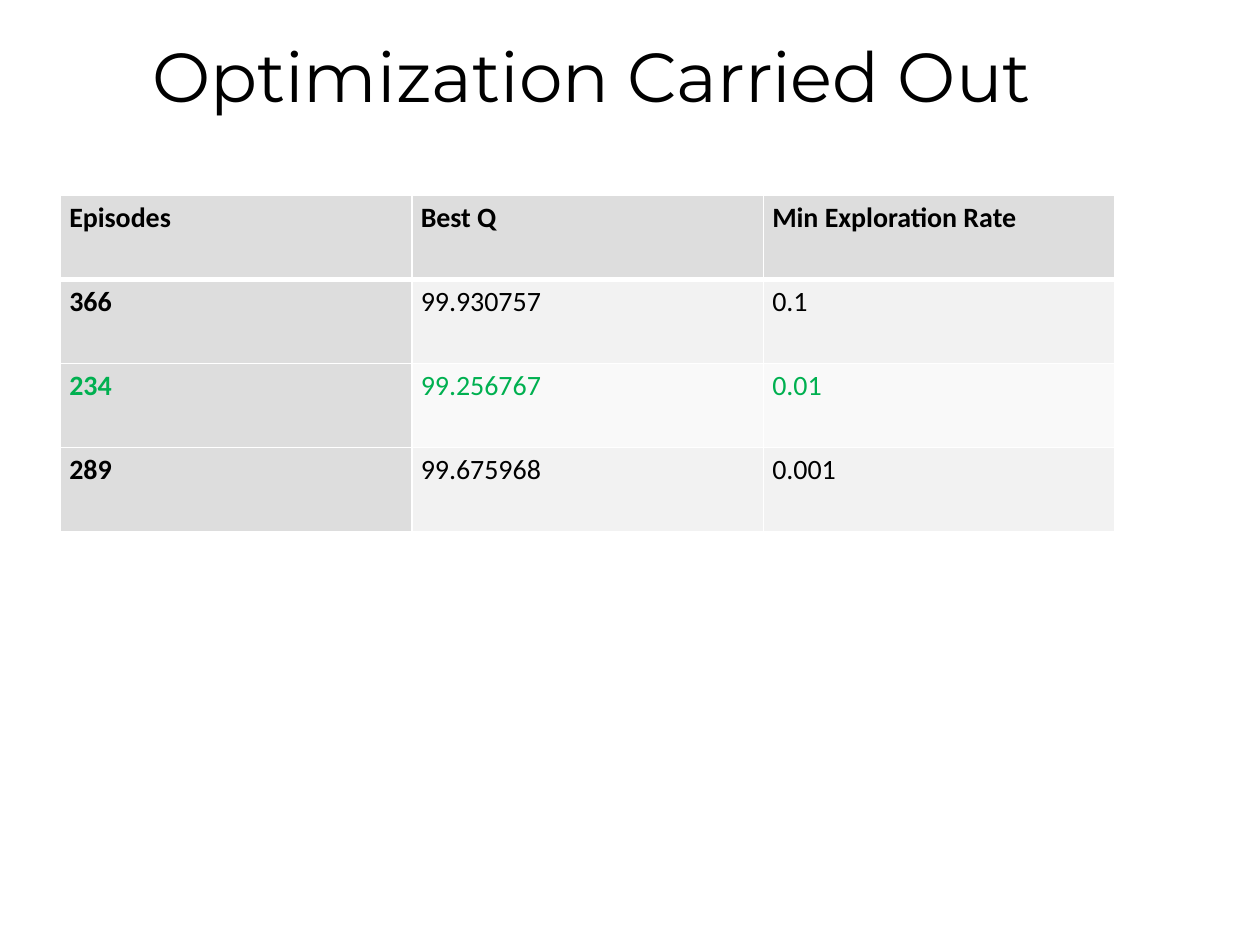
from lxml import etree
from pptx import Presentation
from pptx import util as u
from pptx.dml.color import RGBColor
from pptx.enum import text
from pptx.oxml.ns import qn

BLACK, WHITE, GREEN = "000000", "FFFFFF", "00B050"
HEADER_FILL, ODD_FILL, EVEN_FILL = "DDDDDD", "F2F2F2", "F9F9F9"
ROWS = [
    ("Episodes", "Best Q", "Min Exploration Rate"),
    ("366", "99.930757", "0.1"),
    ("234", "99.256767", "0.01"),
    ("289", "99.675968", "0.001"),
]
HIGHLIGHT_ROW = 2


def color(value):
    return RGBColor.from_string(value)


def set_attrs(obj, values):
    for name, value in values.items():
        setattr(obj, name, value)


def write(p, words, font, size, hex_color, bold=False):
    r = p.add_run()
    r.text = words
    set_attrs(r.font, {"name": font, "size": u.Pt(size), "bold": bold})
    r.font.color.rgb = color(hex_color)


def add_title(slide, words):
    sp = slide.shapes.add_textbox(
        u.Inches(0.51), u.Inches(0.14), u.Inches(8.37), u.Inches(0.83))
    tf = sp.text_frame
    set_attrs(tf, {"word_wrap": True, "vertical_anchor": text.MSO_ANCHOR.BOTTOM})
    p = tf.paragraphs[0]
    p.alignment = text.PP_ALIGN.CENTER
    write(p, words, "Montserrat", 39.6, BLACK)


def set_borders(cell, widths):
    """Draw white borders; widths maps side (L, R, T, B) to points."""
    tc_pr = cell._tc.get_or_add_tcPr()
    for i, (side, width) in enumerate(widths.items()):
        ln = etree.Element(qn(f"a:ln{side}"), w=str(u.Pt(width)))
        fill = etree.SubElement(ln, qn("a:solidFill"))
        etree.SubElement(fill, qn("a:srgbClr"), val=WHITE)
        tc_pr.insert(i, ln)


def format_cell(cell, words, row, col):
    header = row == 0 or col == 0
    set_attrs(cell, {"margin_left": u.Inches(0.07), "margin_right": u.Inches(0.07),
                     "margin_top": 0, "margin_bottom": 0})
    cell.fill.solid()
    body_fill = ODD_FILL if row % 2 else EVEN_FILL
    cell.fill.fore_color.rgb = color(HEADER_FILL if header else body_fill)
    p = cell.text_frame.paragraphs[0]
    p.line_spacing = 1.15
    write(p, words, "Calibri", 16, GREEN if row == HIGHLIGHT_ROW else BLACK, header)
    set_borders(cell, {"L": 1, "R": 1, "T": 3 if row == 1 else 1,
                       "B": 3 if row == 0 else 1})


def add_results_table(slide, rows):
    table = slide.shapes.add_table(
        len(rows), len(rows[0]), u.Inches(0.48), u.Inches(1.55),
        u.Inches(8.37), u.Inches(2.67)).table
    for i, row in enumerate(rows):
        for j, words in enumerate(row):
            format_cell(table.cell(i, j), words, i, j)


def main():
    prs = Presentation()
    set_attrs(prs, {"slide_width": u.Inches(10), "slide_height": u.Inches(7.5)})
    slide = prs.slides.add_slide(prs.slide_layouts[6])
    add_results_table(slide, ROWS)
    add_title(slide, "Optimization Carried Out")
    prs.save("out.pptx")


if __name__ == "__main__":
    main()
